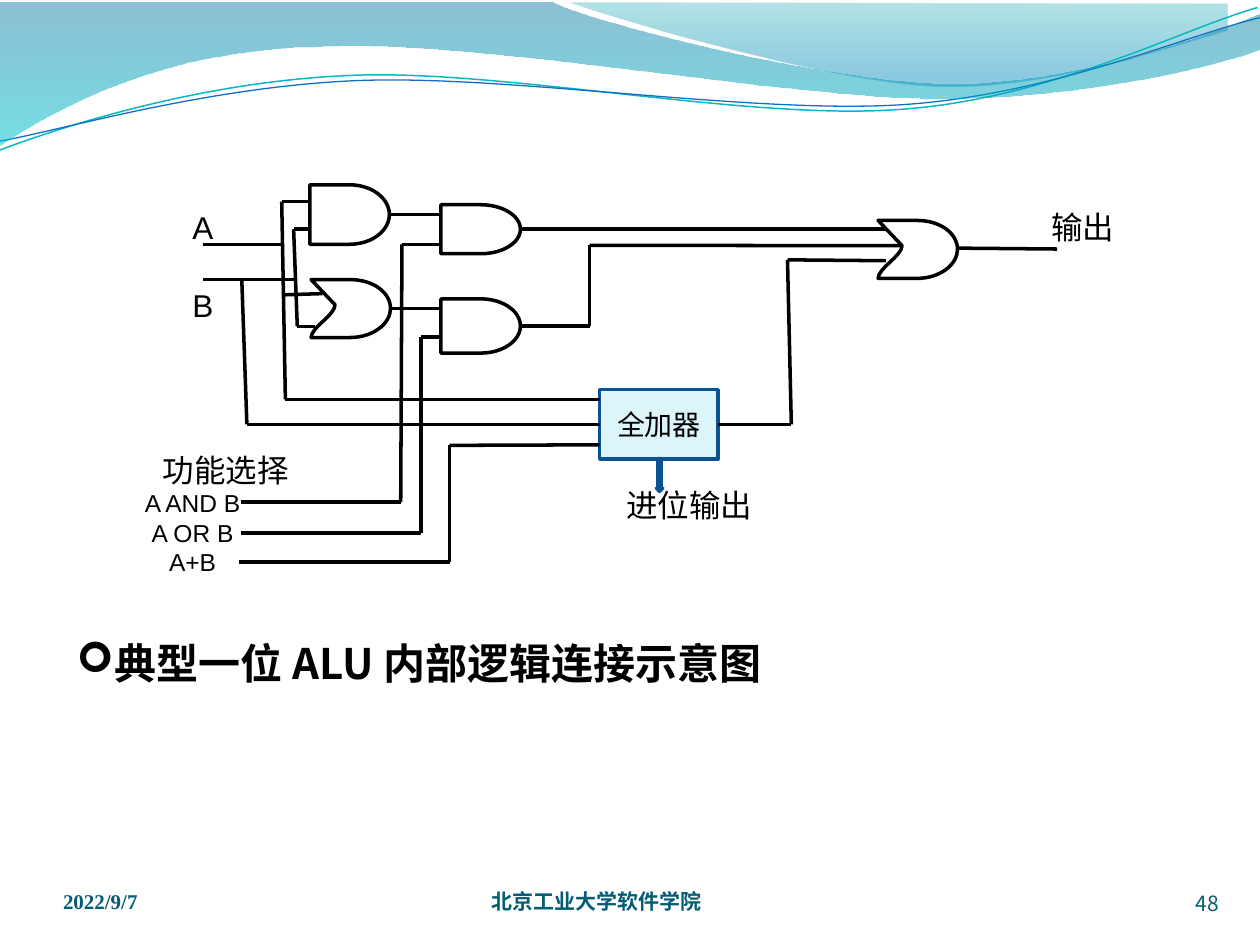
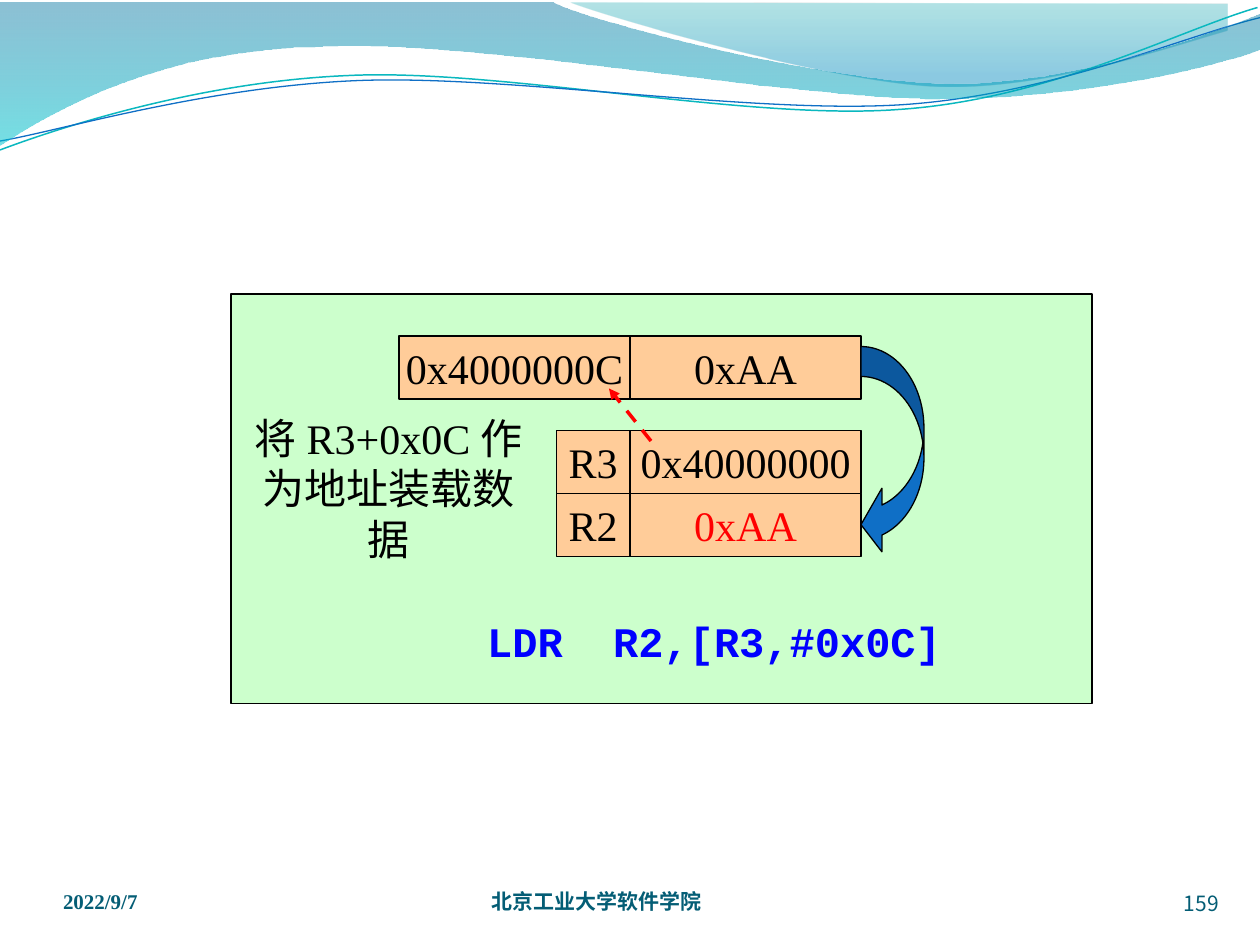
from lxml import etree
from pptx import Presentation
from pptx.dml.color import RGBColor
from pptx.enum.dml import MSO_LINE
from pptx.enum.shapes import MSO_CONNECTOR, MSO_SHAPE
from pptx.enum.text import MSO_ANCHOR, PP_ALIGN
from pptx.oxml.ns import qn
from pptx.util import Pt

RECT, DELAY = MSO_SHAPE.RECTANGLE, MSO_SHAPE.FLOWCHART_DELAY
DOWN_ARROW, CURVED_ARROW = MSO_SHAPE.DOWN_ARROW, MSO_SHAPE.CURVED_LEFT_ARROW
STRAIGHT, DASH = MSO_CONNECTOR.STRAIGHT, MSO_LINE.DASH
TOP, MIDDLE, BOTTOM = MSO_ANCHOR.TOP, MSO_ANCHOR.MIDDLE, MSO_ANCHOR.BOTTOM
LEFT, CENTER, RIGHT = PP_ALIGN.LEFT, PP_ALIGN.CENTER, PP_ALIGN.RIGHT
LEFT_SITE, RIGHT_SITE = 1, 3

BLACK = RGBColor(0x00, 0x00, 0x00)
WHITE = RGBColor(0xFF, 0xFF, 0xFF)
RED = RGBColor(0xFF, 0x00, 0x00)
CODE_BLUE = RGBColor(0x00, 0x00, 0xFF)
FOOTER = RGBColor(0x04, 0x5D, 0x75)
BLUE = RGBColor(0x0F, 0x6F, 0xC6)
DARK_BLUE = RGBColor(0x0B, 0x52, 0x92)
PALE_BLUE = RGBColor(0xDB, 0xF5, 0xF9)
TEAL = RGBColor(0x0A, 0xB8, 0xBF)
GREEN = RGBColor(0xCC, 0xFF, 0xCC)
ORANGE = RGBColor(0xFF, 0xCC, 0x99)
CREST_STOPS = [(0, RGBColor(0x00, 0xA1, 0xA9), 30), (0.8, RGBColor(0x00, 0x8B, 0xBF), 45)]
WAVE_STOPS = [(0, RGBColor(0x00, 0x74, 0xA1), 45), (1, RGBColor(0x00, 0xC6, 0xCF), 55)]

SANS, CJK, SERIF, MONO = "Arial", "Noto Sans CJK SC", "Times New Roman", "Courier New"

CREST = [(326, 1.5), (347.8, 10.1, 472.3, 46.1, 534.2, 49),
         (596.9, 51.8, 673.2, 25.2, 701.3, 17.3), (701.3, 2.2)]
TEAL_CURVE = [(0, 85.7), (34.6, 72.7, 113.8, 46.8, 198.7, 43.2),
              (284.4, 38.9, 426.2, 69.1, 513.4, 62.6), (599.8, 56.9, 675.4, 16.6, 718.6, 4.3)]
BLUE_CURVE = [(0, 80.6), (33.8, 74.9, 117.4, 49.7, 203.8, 46.1),
              (289.4, 42.5, 429.8, 65.5, 516.2, 59.8), (601.9, 54, 677.5, 20.2, 720, 10.1)]
WAVE = [(-0.7, 1.4), (316.1, 1.4), (342, 13.7, 476.6, 47.5, 545, 47.5),
        (613.4, 47.5, 689, 20.2, 719.3, 7.9), (720, 28.1),
        (707, 33.8, 625.7, 56.2, 536.4, 56.2), (446.4, 56.2, 274.3, 22.3, 184.3, 26.6),
        (92.2, 27.4, 32.4, 61.9, -1.4, 83.5)]
OR_GATE = [(0, 0), (22.3, 0), (35.3, 0, 45.4, 7.2, 45.4, 16.6),
           (45.4, 25.2, 35.3, 33.1, 22.3, 33.1), (0, 33.1), (0, 27.4, 13.7, 20.2, 13.7, 14.4)]


def write(sp, text, size=24, font=SERIF, color=BLACK, bold=False, align=CENTER,
          anchor=MIDDLE, wrap=False, inset=None, bullet=None):
    """Fill a shape with text, one paragraph per line."""
    tf = sp.text_frame
    tf.word_wrap, tf.vertical_anchor = wrap, anchor
    if inset is not None:
        tf.margin_left = tf.margin_right = tf.margin_top = tf.margin_bottom = Pt(inset)
    for i, line in enumerate(text.split("\n")):
        p = tf.add_paragraph() if i else tf.paragraphs[0]
        p.alignment = align
        if bullet:
            pPr = p._p.get_or_add_pPr()
            pPr.set("marL", str(Pt(21.6)))
            pPr.set("indent", str(-Pt(21.6)))
            etree.SubElement(pPr, qn("a:buFont")).set("typeface", "Wingdings")
            etree.SubElement(pPr, qn("a:buChar")).set("char", bullet)
        r = p.add_run()
        r.text = line
        r.font.size, r.font.name, r.font.bold = Pt(size), font, bold
        r.font.color.rgb = color
        etree.SubElement(r._r.get_or_add_rPr(), qn("a:ea")).set("typeface", CJK)


def label(s, box, text, **fmt):
    """Add a text box."""
    write(s.shapes.add_textbox(*map(Pt, box)), text, **fmt)


def paint(sp, fill, line, width):
    """Set fill and outline; None leaves either one off."""
    sp.shadow.inherit = False
    if fill is None:
        sp.fill.background()
    else:
        sp.fill.solid()
        sp.fill.fore_color.rgb = fill
    if line is None:
        sp.line.fill.background()
    else:
        sp.line.color.rgb, sp.line.width = line, Pt(width)


def shape(s, kind, box, fill, line=BLACK, width=0.75):
    """Add a preset shape."""
    sp = s.shapes.add_shape(kind, *map(Pt, box))
    paint(sp, fill, line, width)
    return sp


def bend(sp, segments):
    """Merge the three lines of each cubic segment into one curve."""
    lines = iter(sp._element.xpath(".//a:path/a:lnTo"))
    for seg in segments[1:]:
        first = next(lines)
        if len(seg) == 6:
            first.tag = qn("a:cubicBezTo")
            for _ in range(2):
                extra = next(lines)
                first.append(extra[0])
                extra.getparent().remove(extra)


def outline(s, segments, fill=None, line=None, width=2, at=(0, 0), close=True):
    """Add a freeform from points and cubic segments, moved to a place."""
    pts = [(Pt(x + at[0]), Pt(y + at[1]))
           for seg in segments for x, y in zip(seg[::2], seg[1::2])]
    fb = s.shapes.build_freeform(*pts[0])
    fb.add_line_segments(pts[1:], close=close)
    sp = fb.convert_to_shape()
    bend(sp, segments)
    paint(sp, fill, line, width)
    return sp


def fade(sp, stops):
    """Give a shape a top-to-bottom translucent gradient."""
    sp.fill.gradient()
    sp.fill.gradient_angle = 270
    for gs, (position, color, _) in zip(sp.fill.gradient_stops, stops):
        gs.position, gs.color.rgb = position, color
    for clr, (_, _, opacity) in zip(sp._element.xpath(".//a:gs/a:srgbClr"), stops):
        etree.SubElement(clr, qn("a:alpha")).set("val", str(opacity * 1000))


def connector(s, start, end, color=BLACK):
    """Add a straight line without shadow."""
    c = s.shapes.add_connector(STRAIGHT, *map(Pt, (*start, *end)))
    c.line.color.rgb, c.line.width = color, Pt(2)
    etree.SubElement(c._element.spPr, qn("a:effectLst"))
    return c


def wire(s, *points, source=None, target=None):
    """Chain lines through points, joined to a source's right or a target's left."""
    lines = [connector(s, a, b) for a, b in zip(points, points[1:])]
    if source:
        lines[0].begin_connect(source, RIGHT_SITE)
    if target:
        lines[-1].end_connect(target, LEFT_SITE)


def new_slide(prs, number):
    """Add a slide with the wave band and the footer."""
    s = prs.slides.add_slide(prs.slide_layouts[6])
    fade(outline(s, CREST), CREST_STOPS)
    outline(s, TEAL_CURVE, line=TEAL, width=0.85, close=False)
    outline(s, BLUE_CURVE, line=BLUE, width=0.75, close=False)
    fade(outline(s, WAVE), WAVE_STOPS)
    fmt = dict(size=12, color=FOOTER, anchor=BOTTOM, wrap=True, inset=0)
    label(s, (36, 495.4, 168, 26.6), "2022/9/7", bold=True, align=LEFT, **fmt)
    label(s, (280.8, 495.4, 264, 26.6), "北京工业大学软件学院",
          font=CJK, bold=True, align=LEFT, **fmt)
    label(s, (636.5, 496.8, 60, 26.6), number, font=CJK, align=RIGHT, **fmt)
    return s


def alu_slide(prs):
    """Draw the one-bit ALU logic diagram."""
    s = new_slide(prs, "48")
    label(s, (36.7, 360.7, 648, 130.3), "典型一位ALU内部逻辑连接示意图", font=CJK, bold=True,
          align=LEFT, anchor=TOP, wrap=True, bullet="➢")

    and_ab, and_select, or_select = [
        shape(s, DELAY, box, WHITE, width=2) for box in
        ((177.1, 105.6, 45.4, 34), (252, 117, 45.4, 28), (252, 170.8, 45.4, 31))]
    for at in ((177.8, 159.8), (501.8, 126)):
        outline(s, OR_GATE, WHITE, BLACK, at=at)
    adder = shape(s, RECT, (342.7, 222.7, 67.7, 39.6), PALE_BLUE, DARK_BLUE, 2)
    write(adder, "全加器", size=16, font=CJK, wrap=True)

    wire(s, (115.9, 139.7), (161.3, 139.7))
    wire(s, (115.9, 159.8), (167.8, 159.8))
    wire(s, (177.1, 115.2), (161, 115.2), (163.1, 228.2), (342.7, 228.2))
    wire(s, (177.1, 131), (167.8, 131), (169.9, 186.5), (180, 186.5))
    wire(s, (161.3, 168.5), (184.3, 167.8))
    wire(s, (222.5, 122.6), (252, 122.6), source=and_ab)
    wire(s, (222.5, 176.4), (252, 176.4))
    wire(s, (138.2, 160.6), (141.1, 242.5), (342.7, 242.5), target=adder)
    wire(s, (137.5, 287), (229, 287), (229.7, 139.7), (252.7, 139.7))
    wire(s, (137.5, 304.6), (240.5, 304.6), (240.5, 192.7), (252, 192.7))
    wire(s, (136.8, 321.1), (257, 321.1), (257, 254.5), (342.7, 254.2))
    wire(s, (297.4, 131), (506.2, 131), source=and_select)
    wire(s, (297.4, 186.3), (337, 186.3), (337, 140.2), (515.5, 140.4), source=or_select)
    wire(s, (410.4, 242.5), (452.2, 242.5), (450, 148.5), (506.2, 149), source=adder)
    wire(s, (547.2, 141.8), (604.1, 142.3))
    shape(s, DOWN_ARROW, (375.1, 262.1, 3.6, 18.7), BLUE, DARK_BLUE, 2)

    for text, x, y, w in (("A", 102.6, 115.2, 26.6), ("B", 102.6, 159.8, 26.6),
                          ("功能选择", 85.3, 254.2, 87.1), ("输出", 593, 115.2, 51.1),
                          ("进位输出", 350.3, 274.3, 87.1)):
        label(s, (x, y, w, 28.8), text, size=18, font=SANS, anchor=TOP)
    label(s, (75.2, 275.4, 69.8, 58.3), "A AND B\nA OR B\nA+B", size=14, font=SANS, anchor=TOP)


def load_slide(prs):
    """Draw the register-offset load example."""
    s = new_slide(prs, "159")
    shape(s, RECT, (132, 168, 492, 234), GREEN)
    for text, x, y, w, color in (
            ("R2", 318, 282, 42, BLACK), ("R3", 318, 246, 42, BLACK),
            ("0x40000000", 360, 246, 132, BLACK), ("0xAA", 360, 192, 132, BLACK),
            ("0x4000000C", 228, 192, 132, BLACK), ("0xAA", 360, 282, 132, RED)):
        write(shape(s, RECT, (x, y, w, 36), ORANGE), text, color=color)
    label(s, (268, 348, 280, 36), "LDR  R2,[R3,#0x0C]", font=MONO, color=CODE_BLUE, bold=True)

    pointer = connector(s, (372, 252), (348, 222), RED)
    pointer.line.dash_style = DASH
    etree.SubElement(pointer.line._get_or_add_ln(), qn("a:tailEnd")).set("type", "triangle")
    arrow = shape(s, CURVED_ARROW, (492, 198, 36, 120), BLUE)
    for i, value in enumerate((0.476, 1.01, 0.333)):
        arrow.adjustments[i] = value
    label(s, (132, 246, 180, 66), "将R3+0x0C作为地址装载数据", wrap=True)


def main():
    """Build and save the presentation."""
    prs = Presentation()
    prs.slide_width, prs.slide_height = Pt(720), Pt(540)
    alu_slide(prs)
    load_slide(prs)
    prs.save("out.pptx")


if __name__ == "__main__":
    main()
